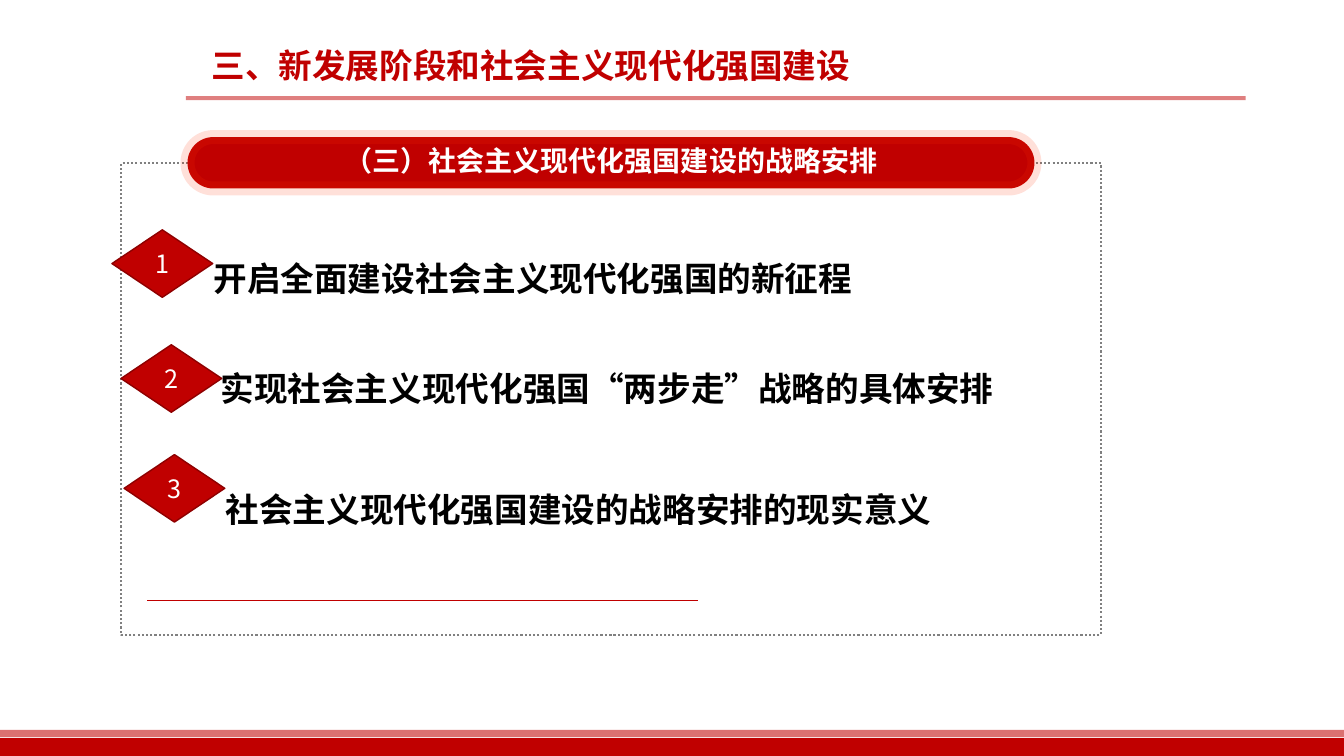
"""Builds the slide on the strategic arrangement of the modernisation drive."""
from pptx import Presentation
from pptx.dml.color import RGBColor
from pptx.enum.dml import MSO_LINE_DASH_STYLE as DASH
from pptx.enum.shapes import MSO_CONNECTOR, MSO_SHAPE as SHAPE
from pptx.enum.text import MSO_ANCHOR as ANCHOR, PP_ALIGN as ALIGN
from pptx.oxml.ns import qn
from pptx.util import Inches, Pt

RED = RGBColor(0xC0, 0x00, 0x00)
DARK_RED = RGBColor(0x8E, 0x00, 0x00)
GLOW = RGBColor(0xFF, 0x33, 0x00)
GREY = RGBColor(0x80, 0x80, 0x80)
WHITE = RGBColor(0xFF, 0xFF, 0xFF)
BLACK = RGBColor(0x00, 0x00, 0x00)
HEADING = "Noto Sans CJK SC"
NUMBER = "Noto Sans CJK JP"

prs = Presentation()
prs.slide_width, prs.slide_height = Inches(13.33), Inches(7.5)
s = prs.slides.add_slide(prs.slide_layouts[6])
COL, ROW = prs.slide_width / 100, prs.slide_height / 100


def add_box(box, kind=None, fill=None, line=None, width=1, alpha=None):
    """Adds a shape, or a text box without a kind, placed in columns and rows."""
    x, y, w, h = box
    place = [round(v) for v in (x * COL, y * ROW, w * COL, h * ROW)]
    if kind is None:
        sp = s.shapes.add_textbox(*place)
    else:
        sp = s.shapes.add_shape(kind, *place)
        sp.shadow.inherit = False
    for part, color in ((sp.fill, fill), (sp.line.fill, line)):
        if color is None:
            part.background()
        else:
            part.solid()
            part.fore_color.rgb = color
    if line is not None:
        sp.line.width = Pt(width)
    if alpha:
        target = list(sp._element.spPr.iter(qn("a:srgbClr")))[-1]
        target.makeelement(qn("a:alpha"), {})
        alpha_el = target.makeelement(qn("a:alpha"), {"val": str(alpha * 1000)})
        target.append(alpha_el)
    sp.text_frame.word_wrap = True
    return sp


def write(p, text, align, **font):
    """Writes one run in a paragraph, with Latin and East Asian font alike."""
    p.alignment = align
    r = p.add_run()
    r.text = text
    r.font.color.rgb = font.pop("color")
    for name, value in font.items():
        setattr(r.font, name, value)
    rPr = r.font._element
    rPr.append(rPr.makeelement(qn("a:ea"), {"typeface": font["name"]}))


add_box((0, 97.6, 100, 2.4), SHAPE.RECTANGLE, RED)
add_box((0, 96.53, 100, 0.93), SHAPE.RECTANGLE, RED, alpha=56)

frame = add_box((9, 21.6, 72.92, 62.4), SHAPE.RECTANGLE, line=GREY, width=1.5)
frame.line.dash_style = DASH.ROUND_DOT

pill = add_box((13.95, 18.13, 63.02, 6.8), SHAPE.ROUNDED_RECTANGLE, RED, GLOW, 10, 15)
pill.adjustments[0] = 0.5
tf = pill.text_frame
tf.vertical_anchor = ANCHOR.MIDDLE
tf.paragraphs[0].line_spacing = 0.9
write(tf.paragraphs[0], "（三）社会主义现代化强国建设的战略安排", ALIGN.CENTER,
      name=HEADING, size=Pt(20), bold=True, color=WHITE)

ends = [round(v) for v in (10.95 * COL, 79.47 * ROW, 51.9 * COL, 79.47 * ROW)]
line = s.shapes.add_connector(MSO_CONNECTOR.STRAIGHT, *ends)
line.line.color.rgb = RED
line.line.width = Pt(0.5)
spPr = line._element.spPr
spPr.append(spPr.makeelement(qn("a:effectLst"), {}))

tf = add_box((13.8, 6, 51.39, 6.67)).text_frame
tf.margin_top = 0
write(tf.paragraphs[0], "三、新发展阶段和社会主义现代化强国建设", ALIGN.CENTER,
      name=HEADING, size=Pt(24), bold=True, color=RED)
add_box((13.84, 12.73, 78.84, 0.53), SHAPE.RECTANGLE, RED, alpha=50)

ITEMS = [
    ("开启全面建设社会主义现代化强国的新征程", 0.74, 0, 8.33, 30.4),
    ("实现社会主义现代化强国“两步走”战略的具体安排", 0.81, 36, 9, 45.6),
    ("社会主义现代化强国建设的战略安排的现实意义", 0.86, 43, 9.23, 60.13),
]
tf = add_box((9.6, 30.4, 66.24, 47.07)).text_frame
tf.margin_top = Inches(0.08)
for number, (text, indent, gap, x, y) in enumerate(ITEMS, 1):
    p = tf.paragraphs[0] if number == 1 else tf.add_paragraph()
    p.line_spacing, p.space_before = Pt(43), Pt(gap)
    p._p.get_or_add_pPr().set("marL", str(Inches(indent)))
    write(p, text, ALIGN.LEFT, name=HEADING, size=Pt(24), bold=True, color=BLACK)

    sp = add_box((x, y, 7.5, 8.93), SHAPE.FLOWCHART_DECISION, RED, DARK_RED)
    sp.text_frame.vertical_anchor = ANCHOR.MIDDLE
    write(sp.text_frame.paragraphs[0], str(number), ALIGN.CENTER,
          name=NUMBER, size=Pt(18), color=WHITE)

prs.save("out.pptx")
